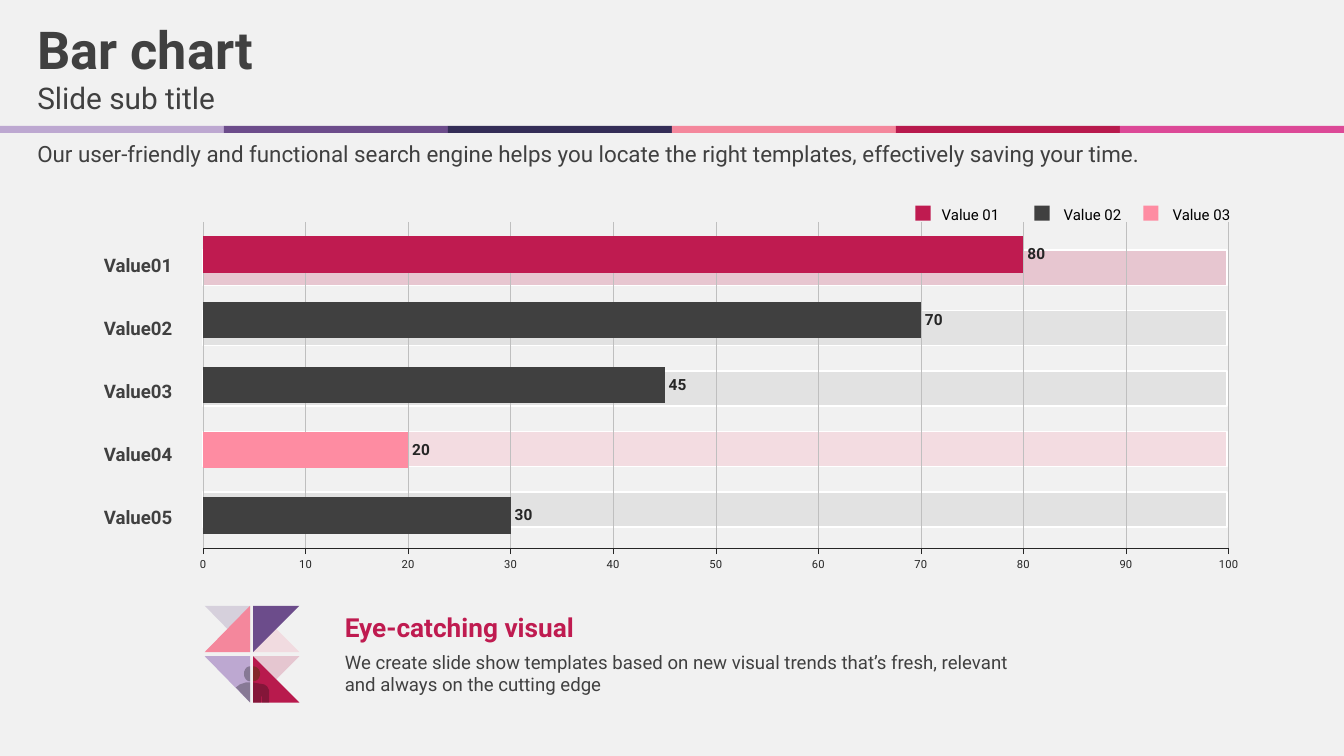
"""Build a bar chart slide with value bands, a legend and a closing message."""
from dataclasses import dataclass
from math import cos, pi, sin

from lxml.etree import SubElement
from pptx import Presentation
from pptx.chart.data import CategoryChartData
from pptx.dml.color import RGBColor
from pptx.enum.chart import XL_CHART_TYPE, XL_LABEL_POSITION, XL_TICK_MARK
from pptx.enum.shapes import MSO_SHAPE
from pptx.enum.text import MSO_ANCHOR, PP_ALIGN
from pptx.oxml import parse_xml
from pptx.oxml.ns import nsdecls, qn
from pptx.util import Inches, Pt


@dataclass(frozen=True)
class Theme:
    font: str = "Roboto"
    paper: str = "F1F1F1"
    white: str = "FFFFFF"
    black: str = "000000"
    text: str = "404040"
    axis: str = "262626"
    grid: str = "BFBFBF"
    band: str = "A6A6A6"
    crimson: str = "BF1B50"
    pink: str = "FE8CA2"
    lilac: str = "BDA8D1"
    violet: str = "6C4C8B"
    navy: str = "342D57"
    rose: str = "F4879C"
    ruby: str = "B81A4D"
    magenta: str = "DC4997"
    shade: str = "0D0D0D"
    head: str = "84282A"
    title_size: float = 37.3
    subtitle_size: float = 21.3
    heading_size: float = 18.7
    intro_size: float = 16
    body_size: float = 13.3
    value_size: float = 11
    legend_size: float = 10.7
    tick_size: float = 8


theme = Theme()
presentation = Presentation()
presentation.slide_width, presentation.slide_height = Inches(13.33), Inches(7.5)
slide = presentation.slides.add_slide(presentation.slide_layouts[0])
slide.background.fill.solid()
slide.background.fill.fore_color.rgb = RGBColor.from_string(theme.paper)


def paint(shape, color, opacity=100):
    shape.shadow.inherit = False
    shape.line.fill.background()
    shape.fill.solid()
    shape.fill.fore_color.rgb = RGBColor.from_string(color)
    if opacity < 100:
        rgb = shape.fill._xPr.find(qn("a:solidFill")).find(qn("a:srgbClr"))
        SubElement(rgb, qn("a:alpha")).set("val", str(opacity * 1000))


def write(box, place, text, size, color=theme.text, bold=False,
          align=PP_ALIGN.LEFT, anchor=MSO_ANCHOR.TOP, before=0, spacing=1.0):
    box.left, box.top, box.width, box.height = [Inches(n) for n in place]
    frame = box.text_frame
    frame.margin_left = frame.margin_top = frame.margin_right = frame.margin_bottom = 0
    frame.word_wrap = True
    frame.vertical_anchor = anchor
    frame.text = text
    paragraph = frame.paragraphs[0]
    paragraph.alignment = align
    paragraph.space_before = Pt(before)
    paragraph.line_spacing = spacing
    paragraph.font.name = theme.font
    paragraph.font.size = Pt(size)
    paragraph.font.bold = bold
    paragraph.font.color.rgb = RGBColor.from_string(color)


write(slide.shapes.title, (0.37, 0.17, 12.18, 0.61), "Bar chart",
      theme.title_size, bold=True, before=3)
write(slide.placeholders[1], (0.37, 0.79, 12.18, 0.42), "Slide sub title",
      theme.subtitle_size, before=1)

stripe_colors = (theme.lilac, theme.violet, theme.navy, theme.rose, theme.ruby, theme.magenta)
stripe_width = presentation.slide_width / len(stripe_colors)
for position, color in enumerate(stripe_colors):
    stripe = slide.shapes.add_shape(
        MSO_SHAPE.RECTANGLE, int(position * stripe_width), Inches(1.25),
        int(stripe_width), Inches(0.07))
    paint(stripe, color)

intro = slide.shapes.add_textbox(0, 0, 0, 0)
write(intro, (0.37, 1.39, 12.29, 0.27),
      "Our user-friendly and functional search engine helps you locate the right templates, "
      "effectively saving your time.",
      theme.intro_size, anchor=MSO_ANCHOR.MIDDLE, before=3.2)

band_colors = (theme.crimson, theme.band, theme.band, theme.pink, theme.band)
for row, color in enumerate(band_colors):
    band = slide.shapes.add_shape(
        MSO_SHAPE.RECTANGLE, Inches(2.01), Inches(2.48 + row * 0.6),
        Inches(10.16), Inches(0.35))
    paint(band, color, 20)
    band.line.color.rgb = RGBColor.from_string(theme.white)
    band.line.width = Pt(1)

chart_data = CategoryChartData()
chart_data.categories = ["1", "2", "3", "4", "5"]
chart_data.add_series("Series 1", (30, 20, 45, 70, 80))
chart = slide.shapes.add_chart(
    XL_CHART_TYPE.BAR_CLUSTERED, Inches(1.77), Inches(2.13),
    Inches(10.73), Inches(3.61), chart_data).chart
chart.has_legend = False
chart.has_title = False
chart.font.name = theme.font
chart.font.size = Pt(theme.tick_size)
chart.font.color.rgb = RGBColor.from_string(theme.axis)
chart.category_axis.visible = False

value_axis = chart.value_axis
value_axis.minimum_scale, value_axis.maximum_scale, value_axis.major_unit = 0, 100, 10
value_axis.major_tick_mark = XL_TICK_MARK.OUTSIDE
value_axis.has_major_gridlines = True
for line, color in ((value_axis.format.line, theme.axis),
                    (value_axis.major_gridlines.format.line, theme.grid)):
    line.color.rgb = RGBColor.from_string(color)
    line.width = Pt(0.25)

plot = chart.plots[0]
plot.gap_width = 80
plot.vary_by_categories = False
bars = plot.series[0]
bars.format.fill.solid()
bars.format.fill.fore_color.rgb = RGBColor.from_string(theme.text)
for index, color in ((1, theme.pink), (4, theme.crimson)):
    highlight = bars.points[index].format.fill
    highlight.solid()
    highlight.fore_color.rgb = RGBColor.from_string(color)
values = bars.data_labels
values.show_value = True
values.position = XL_LABEL_POSITION.OUTSIDE_END
values.font.name = theme.font
values.font.size = Pt(theme.value_size)
values.font.bold = True
values.font.color.rgb = RGBColor.from_string(theme.axis)

plot_area = chart._chartSpace.chart.plotArea
for automatic_layout in plot_area.findall(qn("c:layout")):
    plot_area.remove(automatic_layout)
plot_area.insert(0, parse_xml(
    f'<c:layout {nsdecls("c")}><c:manualLayout><c:layoutTarget val="inner"/>'
    '<c:xMode val="edge"/><c:yMode val="edge"/><c:x val="0.0227"/><c:y val="0.02"/>'
    '<c:w val="0.948"/><c:h val="0.897"/></c:manualLayout></c:layout>'))

for row in range(5):
    category = slide.shapes.add_textbox(0, 0, 0, 0)
    write(category, (0.39, 2.52 + row * 0.625, 1.32, 0.22), f"Value0{row + 1}",
          theme.body_size, bold=True, align=PP_ALIGN.RIGHT)

legend_entries = (
    ("Value 01", theme.crimson, 9.08, 9.34),
    ("Value 02", theme.text, 10.26, 10.55),
    ("Value 03", theme.pink, 11.34, 11.63),
)
for entry, color, key_left, entry_left in legend_entries:
    key = slide.shapes.add_shape(
        MSO_SHAPE.RECTANGLE, Inches(key_left), Inches(2.04), Inches(0.15), Inches(0.15))
    paint(key, color)
    legend_text = slide.shapes.add_textbox(0, 0, 0, 0)
    write(legend_text, (entry_left, 2.02, 0.71, 0.2), entry, theme.legend_size,
          theme.black, anchor=MSO_ANCHOR.MIDDLE, spacing=1.1)

half_turn = [pi * step / 10 - pi / 2 for step in range(11)]
left_head = [(2.48 - 0.06 * cos(a), 6.685 + 0.075 * sin(a)) for a in half_turn]
right_head = [(2.51 + 0.07 * cos(a), 6.685 + 0.075 * sin(a)) for a in half_turn]
emblem_parts = (
    (theme.rose, 20, [(2.51, 6.01), (2.51, 6.47), (2.97, 6.47)]),
    (theme.violet, 20, [(2.48, 6.01), (2.03, 6.01), (2.48, 6.47)]),
    (theme.violet, 100, [(2.97, 6.01), (2.51, 6.01), (2.51, 6.47)]),
    (theme.ruby, 20, [(2.97, 6.51), (2.51, 6.51), (2.74, 6.74)]),
    (theme.rose, 100, [(2.03, 6.47), (2.48, 6.47), (2.48, 6.01)]),
    (theme.lilac, 100, [(2.48, 6.97), (2.48, 6.51), (2.03, 6.51)]),
    (theme.ruby, 100, [(2.51, 6.51), (2.51, 6.97), (2.97, 6.97)]),
    (theme.shade, 30, left_head),
    (theme.head, 100, right_head),
    (theme.shade, 30, [(2.48, 6.77), (2.44, 6.77), (2.38, 6.79), (2.34, 6.82), (2.48, 6.97)]),
    (theme.shade, 30, [(2.51, 6.77), (2.51, 6.97), (2.59, 6.97), (2.59, 6.91), (2.6, 6.91),
                       (2.6, 6.97), (2.67, 6.97), (2.67, 6.85), (2.65, 6.81), (2.62, 6.79),
                       (2.56, 6.78)]),
)
for color, opacity, corners in emblem_parts:
    start, *others = [(Inches(x), Inches(y)) for x, y in corners]
    outline = slide.shapes.build_freeform(*start)
    outline.add_line_segments(others, close=True)
    paint(outline.convert_to_shape(), color, opacity)

heading = slide.shapes.add_textbox(0, 0, 0, 0)
write(heading, (3.42, 6.1, 4.24, 0.28), "Eye-catching visual", theme.heading_size,
      theme.crimson, bold=True, spacing=0.9)
message = slide.shapes.add_textbox(0, 0, 0, 0)
write(message, (3.42, 6.45, 6.72, 0.45),
      "We create slide show templates based on new visual trends that’s fresh, relevant "
      "and always on the cutting edge",
      theme.body_size, anchor=MSO_ANCHOR.MIDDLE, before=2.7)

presentation.save("out.pptx")
